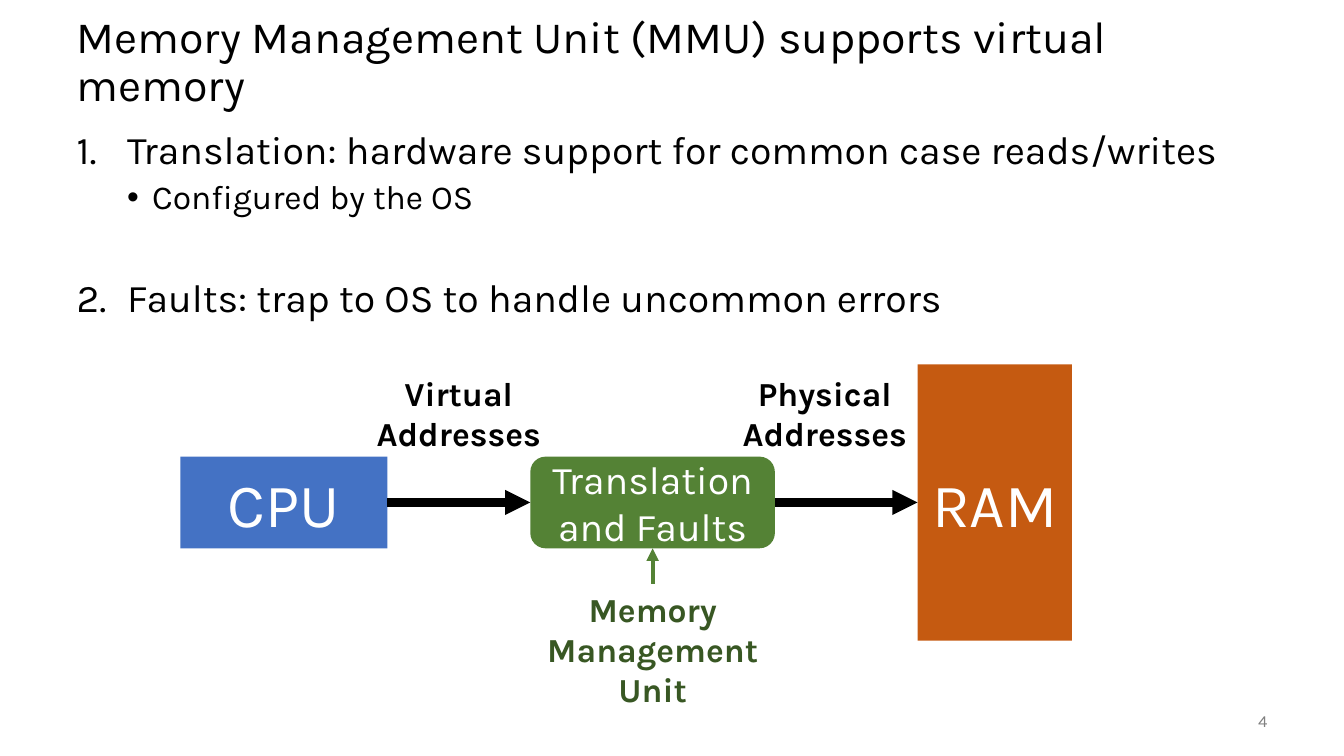
from lxml import etree
from pptx import Presentation
from pptx.dml.color import RGBColor
from pptx.enum.shapes import MSO_CONNECTOR, MSO_SHAPE
from pptx.enum.text import MSO_ANCHOR, MSO_AUTO_SIZE, PP_ALIGN
from pptx.oxml.ns import qn
from pptx.util import Inches, Pt

LEFT, CENTER, RIGHT = PP_ALIGN.LEFT, PP_ALIGN.CENTER, PP_ALIGN.RIGHT
TOP, MIDDLE = MSO_ANCHOR.TOP, MSO_ANCHOR.MIDDLE
RECTANGLE, ROUNDED = MSO_SHAPE.RECTANGLE, MSO_SHAPE.ROUNDED_RECTANGLE
STRAIGHT = MSO_CONNECTOR.STRAIGHT
FIXED, GROW = MSO_AUTO_SIZE.NONE, MSO_AUTO_SIZE.SHAPE_TO_FIT_TEXT
SITE_TOP, SITE_LEFT, SITE_BOTTOM, SITE_RIGHT = range(4)

FONT = "Karla"
COLORS = {
    "text": "000000",
    "light": "FFFFFF",
    "number": "808080",
    "cpu": "4472C4",
    "ram": "C55A11",
    "unit": "548235",
    "unit_label": "385723",
}
WIDTH, HEIGHT = Inches(13.33), Inches(7.5)
COLUMN, ROW = WIDTH / 100, HEIGHT / 100
UNIT_ROW, UNIT_ROWS = 60.4, 12.13
LABEL_ROW, LABEL_COLUMNS = 48.67, 25.66

POINTS = [
    ("Translation: hardware support for common case reads/writes", 0, 0),
    ("Configured by the OS", 1, 5),
    ("Faults: trap to OS to handle uncommon errors", 0, 44),
]
LEVELS = [
    {"size": 28, "margin": 0.5, "hanging": 0.5, "tag": "a:buAutoNum",
     "attributes": {"type": "arabicPeriod"}},
    {"size": 24, "margin": 0.75, "hanging": 0.25, "tag": "a:buChar",
     "attributes": {"char": "•"}},
]


def color(name):
    return RGBColor.from_string(COLORS[name])


def grid(column, row, columns, rows):
    return (round(column * COLUMN), round(row * ROW),
            round(columns * COLUMN), round(rows * ROW))


def place(shape, area):
    shape.left, shape.top, shape.width, shape.height = grid(*area)


def write(para, text, size=24, fill="text", bold=False, align=LEFT, spacing=None):
    para.text = text
    para.alignment = align
    if spacing:
        para.line_spacing = spacing
    for span in para.runs:
        span.font.name = FONT
        span.font.size = Pt(size)
        span.font.bold = bold
        span.font.color.rgb = color(fill)


def prepare(frame, anchor=TOP, fit=FIXED):
    frame.word_wrap = True
    frame.auto_size = fit
    frame.vertical_anchor = anchor


def add_title(page, text):
    title = page.shapes.title
    place(title, (4.95, 3.33, 90, 10))
    prepare(title.text_frame, MIDDLE)
    write(title.text_frame.paragraphs[0], text, size=32, spacing=0.9)


def add_points(page):
    body = page.placeholders[1]
    place(body, (4.95, 16.67, 90, 73.33))
    frame = body.text_frame
    prepare(frame)
    for index, (text, level, space) in enumerate(POINTS):
        para = frame.add_paragraph() if index else frame.paragraphs[0]
        style = LEVELS[level]
        write(para, text, size=style["size"], spacing=0.9)
        para.level = level
        para.space_before = Pt(space)
        properties = para._p.get_or_add_pPr()
        properties.set("marL", str(Inches(style["margin"])))
        properties.set("indent", str(-Inches(style["hanging"])))
        etree.SubElement(properties, qn(style["tag"]), style["attributes"])


def add_label(page, text, area, anchor=TOP, fit=GROW, **text_format):
    box = page.shapes.add_textbox(*grid(*area))
    prepare(box.text_frame, anchor, fit)
    write(box.text_frame.paragraphs[0], text, **text_format)
    return box


def add_block(page, text, area, fill, size=44, kind=RECTANGLE):
    block = page.shapes.add_shape(kind, *grid(*area))
    block.shadow.inherit = False
    block.fill.solid()
    block.fill.fore_color.rgb = color(fill)
    block.line.fill.background()
    prepare(block.text_frame, MIDDLE)
    write(block.text_frame.paragraphs[0], text, size=size, fill="light", align=CENTER)
    return block


def add_arrow(page, start, start_site, end, end_site, fill="text", weight=6):
    arrow = page.shapes.add_connector(STRAIGHT, 0, 0, 0, 0)
    arrow.begin_connect(start, start_site)
    arrow.end_connect(end, end_site)
    arrow.line.color.rgb = color(fill)
    arrow.line.width = Pt(weight)
    etree.SubElement(arrow.line._get_or_add_ln(), qn("a:tailEnd"), type="triangle")
    etree.SubElement(arrow._element.spPr, qn("a:effectLst"))


def add_diagram(page):
    for text, column in (("Virtual\nAddresses", 21.3), ("Physical\nAddresses", 48.54)):
        add_label(page, text, (column, LABEL_ROW, LABEL_COLUMNS, 12.13),
                  bold=True, align=CENTER)
    cpu = add_block(page, "CPU", (13.43, UNIT_ROW, 15.4, UNIT_ROWS), "cpu")
    ram = add_block(page, "RAM", (68.27, 48.2, 11.48, 36.53), "ram")
    unit = add_block(page, "Translation and Faults", (39.46, UNIT_ROW, 18.2, UNIT_ROWS),
                     "unit", size=28, kind=ROUNDED)
    unit_label = add_label(page, "Memory Management Unit", (38.1, 77.2, 20.92, 17.47),
                           fill="unit_label", bold=True, align=CENTER)
    add_arrow(page, cpu, SITE_RIGHT, unit, SITE_LEFT)
    add_arrow(page, unit, SITE_RIGHT, ram, SITE_LEFT)
    add_arrow(page, unit_label, SITE_TOP, unit, SITE_BOTTOM, fill="unit", weight=3)


def main():
    deck = Presentation()
    deck.slide_width, deck.slide_height = WIDTH, HEIGHT
    page = deck.slides.add_slide(deck.slide_layouts[1])
    add_title(page, "Memory Management Unit (MMU) supports virtual memory")
    add_points(page)
    add_label(page, "4", (87.54, 92.67, 7.5, 5.33), anchor=MIDDLE, fit=FIXED,
              size=12, fill="number", align=RIGHT)
    add_diagram(page)
    deck.save("out.pptx")


if __name__ == "__main__":
    main()
